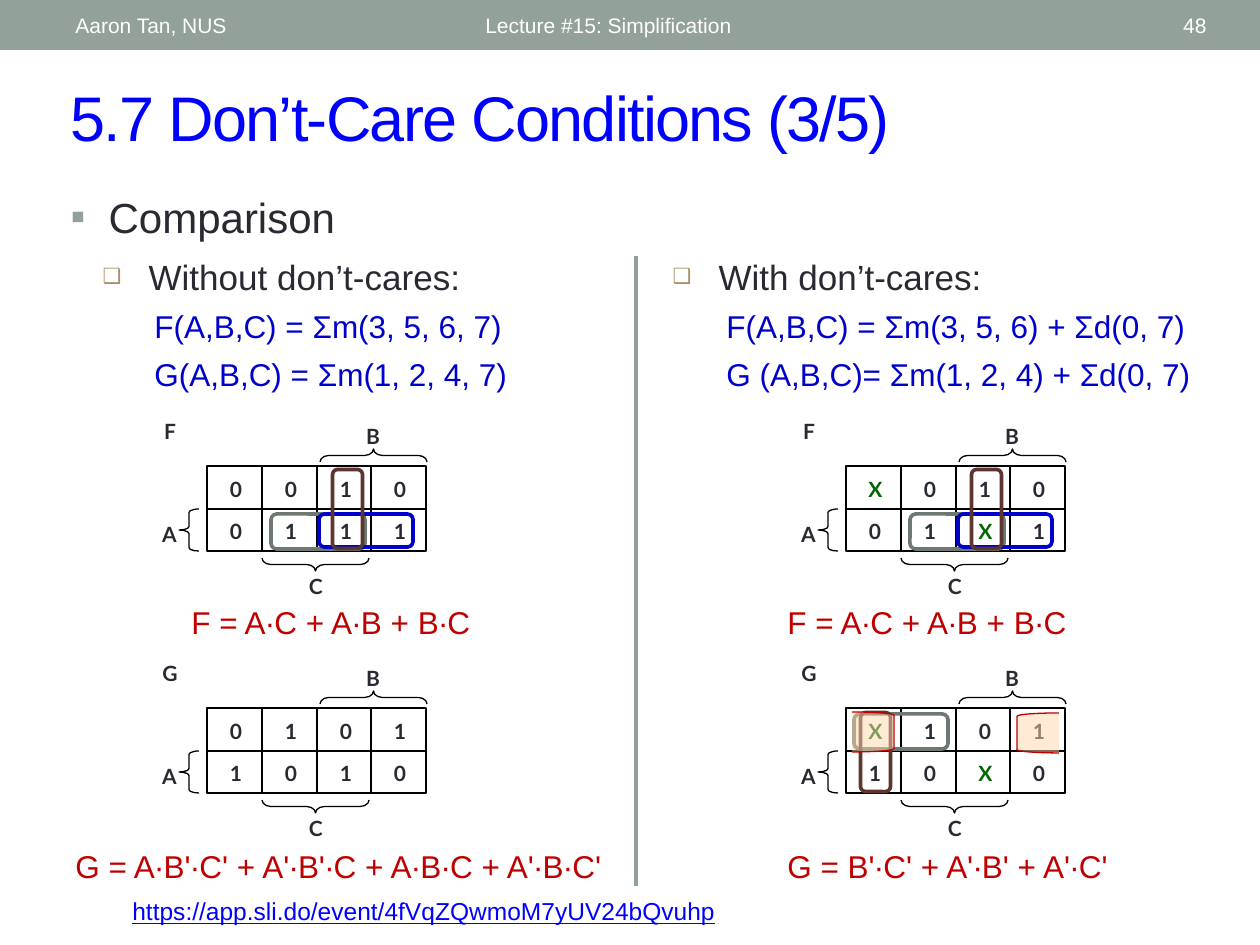
from dataclasses import dataclass

from lxml.etree import SubElement
from pptx import Presentation
from pptx.dml.color import RGBColor
from pptx.enum.shapes import MSO_CONNECTOR, MSO_SHAPE
from pptx.enum.text import MSO_ANCHOR, MSO_AUTO_SIZE, PP_ALIGN
from pptx.oxml.ns import qn
from pptx.util import Emu, Pt

EMU_PER_PX = 914400 / 126

WHITE = RGBColor(0xFF, 0xFF, 0xFF)
BLACK = RGBColor(0x00, 0x00, 0x00)
INK = RGBColor(0x29, 0x29, 0x34)
SAGE = RGBColor(0x93, 0xA2, 0x99)
TAN = RGBColor(0xAD, 0x8F, 0x67)
BLUE = RGBColor(0x00, 0x00, 0xFF)
NAVY = RGBColor(0x00, 0x00, 0xCC)
RED = RGBColor(0xC0, 0x00, 0x00)
GREEN = RGBColor(0x00, 0x66, 0x00)
GREY = RGBColor(0x6D, 0x78, 0x71)
BROWN = RGBColor(0x5B, 0x35, 0x2E)
PEACH = RGBColor(0xFF, 0xD6, 0xAD)

GRID_WIDTH, GRID_HEIGHT, ROW_HEIGHT = 219, 85, 43
COLUMN_LINES = (55, 110, 164)


@dataclass(frozen=True)
class Box:
    left: int
    top: int
    width: int
    height: int

    def moved(self, x: int, y: int) -> "Box":
        return Box(self.left + x, self.top + y, self.width, self.height)

    def emu(self) -> list[Emu]:
        return [px(v) for v in (self.left, self.top, self.width, self.height)]


@dataclass(frozen=True)
class TextStyle:
    size: int
    color: RGBColor
    font: str = "Arial"
    bold: bool = False
    underline: bool = False
    align: PP_ALIGN = PP_ALIGN.LEFT
    anchor: MSO_ANCHOR = MSO_ANCHOR.TOP
    margin: int = 0
    space_before: int = 0


@dataclass(frozen=True)
class Bullet:
    char: str
    color: RGBColor
    percent: int
    margin: int
    hang: int


@dataclass(frozen=True)
class Outline:
    """A mark on a map, placed relative to the grid's corner."""
    box: Box
    color: RGBColor
    kind: MSO_SHAPE = MSO_SHAPE.ROUNDED_RECTANGLE
    weight: float = 2.08
    rotation: int = 0
    flip: str = ""
    adjust: float | None = None
    fill: RGBColor | None = None


@dataclass(frozen=True)
class KarnaughMap:
    name: str
    x: int
    y: int
    rows: tuple[str, str]
    marks: tuple[Outline, ...] = ()


HEADER = TextStyle(12, WHITE, anchor=MSO_ANCHOR.MIDDLE)
HEADER_RIGHT = TextStyle(12, WHITE, anchor=MSO_ANCHOR.MIDDLE, align=PP_ALIGN.RIGHT)
TITLE = TextStyle(36, BLUE, anchor=MSO_ANCHOR.MIDDLE)
TOPIC = TextStyle(24, INK)
SUBTOPIC = TextStyle(20, INK)
FUNCTION = TextStyle(18, NAVY, margin=15, space_before=6)
RESULT = TextStyle(18, RED, margin=15)
LINK = TextStyle(14, BLUE, underline=True)
LABEL = TextStyle(12, INK, font="Lato", bold=True, align=PP_ALIGN.CENTER)
DONT_CARE = TextStyle(12, GREEN, font="Lato", bold=True, align=PP_ALIGN.CENTER)
SQUARE = Bullet("▪", SAGE, 100, 38, 38)
HOLLOW = Bullet("❑", TAN, 60, 92, 46)

BRACES = (
    Outline(Box(-28, 43, 20, 42), BLACK, MSO_SHAPE.LEFT_BRACE, 0.75, adjust=0.17),
    Outline(Box(160, -64, 13, 107), BLACK, MSO_SHAPE.LEFT_BRACE, 0.75, 90, "flipV", 0.68),
    Outline(Box(102, 45, 13, 107), BLACK, MSO_SHAPE.LEFT_BRACE, 0.75, 270, adjust=0.68),
)
VARIABLES = {"A": Box(-69, 49, 63, 34), "B": Box(146, -49, 40, 33), "C": Box(89, 101, 40, 36)}
F_MARKS = (
    Outline(Box(64, 48, 94, 35), GREY),
    Outline(Box(112, 48, 94, 33), NAVY),
    Outline(Box(101, 28, 79, 30), BROWN, rotation=270),
)
G_MARKS = (
    Outline(Box(8, 6, 94, 35), GREY),
    Outline(Box(-10, 29, 79, 30), BROWN, rotation=270),
    Outline(Box(171, 5, 42, 40), RED, MSO_SHAPE.LEFT_BRACKET, 0.75, fill=PEACH),
    Outline(Box(6, 4, 42, 40), RED, MSO_SHAPE.LEFT_BRACKET, 0.75, flip="flipH", fill=PEACH),
)
LEFT_X, RIGHT_X, F_Y, G_Y = 207, 846, 466, 708
MAPS = (
    KarnaughMap("G", LEFT_X, G_Y, ("0101", "1010")),
    KarnaughMap("F", LEFT_X, F_Y, ("0010", "0111"), F_MARKS),
    KarnaughMap("F", RIGHT_X, F_Y, ("X010", "01X1"), F_MARKS),
    KarnaughMap("G", RIGHT_X, G_Y, ("X101", "10X0"), G_MARKS),
)
TEXTS = (
    ("https://app.sli.do/event/4fVqZQwmoM7yUV24bQvuhp", Box(120, 890, 819, 43), LINK),
    ("Lecture #15: Simplification", Box(473, 3, 567, 45), HEADER),
    ("48", Box(1099, 3, 120, 45), HEADER_RIGHT),
    ("Aaron Tan, NUS", Box(63, 3, 399, 45), HEADER),
    ("F(A,B,C) = Σm(3, 5, 6, 7)\nG(A,B,C) = Σm(1, 2, 4, 7)", Box(127, 301, 412, 112), FUNCTION),
    ("F(A,B,C) = Σm(3, 5, 6) + Σd(0, 7)\nG (A,B,C)= Σm(1, 2, 4) + Σd(0, 7)",
     Box(699, 301, 525, 112), FUNCTION),
    ("F = A∙C + A∙B + B∙C", Box(164, 597, 341, 54), RESULT),
    ("G = A∙B'∙C' + A'∙B'∙C + A∙B∙C + A'∙B∙C'", Box(48, 841, 597, 54), RESULT),
    ("F = A∙C + A∙B + B∙C", Box(760, 597, 341, 54), RESULT),
    ("G = B'∙C' + A'∙B' + A'∙C'", Box(760, 841, 378, 54), RESULT),
)


def px(value: int) -> Emu:
    return Emu(round(value * EMU_PER_PX))


def write(shape, text: str, style: TextStyle, bullet: Bullet | None = None) -> None:
    frame = shape.text_frame
    frame.text = text
    frame.word_wrap = True
    frame.auto_size = MSO_AUTO_SIZE.NONE
    frame.vertical_anchor = style.anchor
    for index, paragraph in enumerate(frame.paragraphs):
        properties = paragraph._p.get_or_add_pPr()
        margin, indent = (bullet.margin, -bullet.hang) if bullet else (style.margin, 0)
        properties.set("marL", str(px(margin)))
        properties.set("indent", str(px(indent)))
        paragraph.space_before = Pt(style.space_before if index else 0)
        if bullet:
            color = SubElement(properties, qn("a:buClr"))
            SubElement(color, qn("a:srgbClr"), val=str(bullet.color))
            SubElement(properties, qn("a:buSzPct"), val=str(bullet.percent * 1000))
            SubElement(properties, qn("a:buChar"), char=bullet.char)
        paragraph.alignment = style.align
        font = paragraph.font
        font.name, font.size, font.bold = style.font, Pt(style.size), style.bold
        font.underline = style.underline
        font.color.rgb = style.color


def add_text(shapes, text: str, box: Box, style: TextStyle) -> None:
    write(shapes.add_textbox(*box.emu()), text, style)


def fill_placeholder(shape, text: str, box: Box, style: TextStyle,
                     bullet: Bullet | None = None) -> None:
    shape.left, shape.top, shape.width, shape.height = box.emu()
    write(shape, text, style, bullet)


def add_line(shapes, start: tuple[int, int], end: tuple[int, int],
             color: RGBColor, weight: float) -> None:
    line = shapes.add_connector(MSO_CONNECTOR.STRAIGHT, *map(px, start + end))
    line.line.color.rgb = color
    line.line.width = Pt(weight)
    SubElement(line._element.spPr, qn("a:effectLst"))


def add_outline(shapes, outline: Outline, x: int, y: int) -> None:
    shape = shapes.add_shape(outline.kind, *outline.box.moved(x, y).emu())
    shape.shadow.inherit = False
    shape.rotation = outline.rotation
    shape.line.color.rgb = outline.color
    shape.line.width = Pt(outline.weight)
    if outline.adjust is not None:
        shape.adjustments[0] = outline.adjust
    if outline.flip:
        shape._element.spPr.find(qn("a:xfrm")).set(outline.flip, "1")
    if outline.fill is None:
        shape.fill.background()
    else:
        shape.fill.solid()
        shape.fill.fore_color.rgb = outline.fill
        color = shape._element.spPr.find(qn("a:solidFill")).find(qn("a:srgbClr"))
        SubElement(color, qn("a:alpha"), val="50000")


def add_rectangle(shapes, box: Box, fill: RGBColor, line: RGBColor | None = None) -> None:
    shape = shapes.add_shape(MSO_SHAPE.RECTANGLE, *box.emu())
    shape.shadow.inherit = False
    shape.fill.solid()
    shape.fill.fore_color.rgb = fill
    if line is None:
        shape.line.fill.background()
    else:
        shape.line.color.rgb = line
        shape.line.width = Pt(0.75)


def add_map(shapes, kmap: KarnaughMap) -> None:
    x, y = kmap.x, kmap.y
    group = shapes.add_group_shape().shapes
    add_rectangle(group, Box(x, y, GRID_WIDTH, GRID_HEIGHT), WHITE, BLACK)
    add_line(group, (x, y + ROW_HEIGHT), (x + GRID_WIDTH, y + ROW_HEIGHT), BLACK, 0.75)
    for column in COLUMN_LINES:
        add_line(group, (x + column, y), (x + column, y + GRID_HEIGHT), BLACK, 0.75)
    for brace in BRACES:
        add_outline(group, brace, x, y)
    for variable, box in VARIABLES.items():
        add_text(group, variable, box.moved(x, y), LABEL)
    add_text(group, kmap.name, Box(x - 58, y - 54, 42, 34), LABEL)
    for row, values in enumerate(kmap.rows):
        for cell_left, value in zip((0, *COLUMN_LINES), values):
            cell = Box(x + cell_left + 10, y + 4 + row * 42, 38, 38)
            add_text(group, value, cell, DONT_CARE if value == "X" else LABEL)
    for mark in kmap.marks:
        add_outline(shapes, mark, x, y)


def main() -> None:
    presentation = Presentation()
    presentation.slide_width, presentation.slide_height = px(1260), px(945)
    slide = presentation.slides.add_slide(presentation.slide_layouts.get_by_name("Comparison"))
    shapes = slide.shapes
    bodies = {item.placeholder_format.idx: item for item in slide.placeholders}

    add_rectangle(shapes, Box(0, 0, 1260, 50), SAGE)
    fill_placeholder(shapes.title, "5.7 Don’t-Care Conditions (3/5)", Box(58, 72, 1143, 88), TITLE)
    shapes.title.text_frame.paragraphs[0].runs[0]._r.get_or_add_rPr().set("spc", "-100")
    fill_placeholder(bodies[1], "Comparison", Box(58, 185, 1134, 66), TOPIC, SQUARE)
    fill_placeholder(bodies[2], "Without don’t-cares:", Box(44, 249, 451, 54), SUBTOPIC, HOLLOW)
    fill_placeholder(bodies[4], "With don’t-cares:", Box(614, 249, 451, 54), SUBTOPIC, HOLLOW)
    bodies[3]._element.getparent().remove(bodies[3]._element)

    for text, box, style in TEXTS:
        add_text(shapes, text, box, style)
    for kmap in MAPS:
        add_map(shapes, kmap)
    add_line(shapes, (636, 256), (636, 886), SAGE, 2.25)
    presentation.save("out.pptx")


if __name__ == "__main__":
    main()
